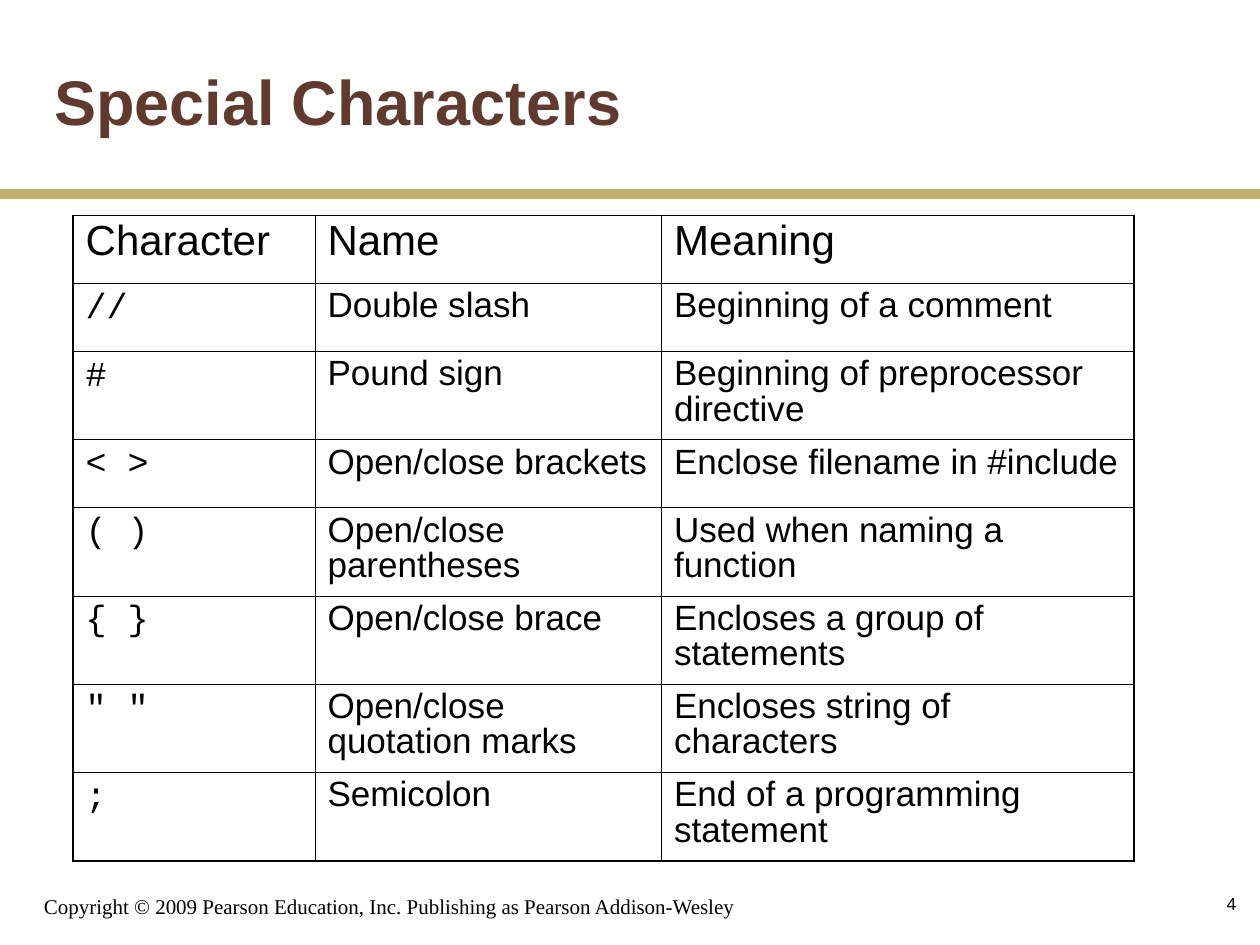
from dataclasses import dataclass

from lxml import etree
from pptx import Presentation
from pptx.dml.color import RGBColor
from pptx.enum.shapes import MSO_SHAPE
from pptx.enum.text import MSO_ANCHOR, MSO_AUTO_SIZE, PP_ALIGN
from pptx.oxml.ns import qn
from pptx.util import Inches, Pt

RECTANGLE = MSO_SHAPE.RECTANGLE
MIDDLE, BOTTOM = MSO_ANCHOR.MIDDLE, MSO_ANCHOR.BOTTOM
LEFT, RIGHT = PP_ALIGN.LEFT, PP_ALIGN.RIGHT
NO_AUTOFIT = MSO_AUTO_SIZE.NONE
TITLE_ONLY = 5


@dataclass(frozen=True)
class Theme:
    """Colours, fonts, type sizes and line widths of the slide."""
    title_color: RGBColor = RGBColor(0x60, 0x3A, 0x2F)
    bar_color: RGBColor = RGBColor(0xBF, 0xAF, 0x6F)
    ink: RGBColor = RGBColor(0, 0, 0)
    sans: str = "Arial"
    serif: str = "Times New Roman"
    code: str = "Courier New"
    title_size: Pt = Pt(36)
    header_size: Pt = Pt(24)
    cell_size: Pt = Pt(20)
    footer_size: Pt = Pt(12)
    number_size: Pt = Pt(10)
    outer_line: Pt = Pt(1.08)
    inner_line: Pt = Pt(0.45)


THEME = Theme()
COLUMN_WIDTHS = (1.92, 2.75, 3.75)
ROW_HEIGHTS = (0.54, 0.54, 0.7, 0.54, 0.7, 0.7, 0.7, 0.7)
ROWS = (
    ("Character", "Name", "Meaning"),
    ("//", "Double slash", "Beginning of a comment"),
    ("#", "Pound sign", "Beginning of preprocessor directive"),
    ("< >", "Open/close brackets", "Enclose filename in #include"),
    ("( )", "Open/close parentheses", "Used when naming a function"),
    ("{ }", "Open/close brace", "Encloses a group of statements"),
    ('" "', "Open/close quotation marks", "Encloses string of characters"),
    (";", "Semicolon", "End of a programming statement"),
)


def box(*lengths):
    """Turn left, top, width and height in inches into lengths."""
    return [Inches(length) for length in lengths]


def write(frame, text, color=THEME.ink, paragraph_format=None, **font_format):
    """Write one formatted paragraph into a text frame."""
    paragraph = frame.paragraphs[0]
    run = paragraph.add_run()
    run.text = text
    for name, value in (paragraph_format or {}).items():
        setattr(paragraph, name, value)
    for name, value in font_format.items():
        setattr(run.font, name, value)
    run.font.color.rgb = color


def add_title(slide, area, text):
    """Move and format the title placeholder."""
    title = slide.shapes.title
    title.left, title.top, title.width, title.height = area
    frame = title.text_frame
    frame.auto_size = NO_AUTOFIT
    frame.vertical_anchor = MIDDLE
    write(frame, text, THEME.title_color, {"alignment": LEFT},
          name=THEME.sans, size=THEME.title_size, bold=True)


def add_bar(slide, area):
    """Draw the band under the title."""
    bar = slide.shapes.add_shape(RECTANGLE, *area)
    bar.shadow.inherit = False
    bar.fill.solid()
    bar.fill.fore_color.rgb = THEME.bar_color
    bar.line.fill.background()


def add_label(slide, area, text, anchor, alignment, **font_format):
    """Place one line of footer text."""
    frame = slide.shapes.add_textbox(*area).text_frame
    frame.word_wrap = True
    frame.vertical_anchor = anchor
    write(frame, text, paragraph_format={"alignment": alignment}, **font_format)


def set_borders(cell, outer_sides):
    """Draw the four cell borders, heavier on the table's outer sides."""
    properties = cell._tc.get_or_add_tcPr()
    for side, is_outer in outer_sides.items():
        width = THEME.outer_line if is_outer else THEME.inner_line
        line = etree.SubElement(properties, qn(f"a:ln{side}"), w=str(int(width)))
        fill = etree.SubElement(line, qn("a:solidFill"))
        etree.SubElement(fill, qn("a:srgbClr"), val=str(THEME.ink))


def add_character_table(slide, area):
    """Build the table of special characters."""
    last_row, last_column = len(ROWS) - 1, len(COLUMN_WIDTHS) - 1
    table = slide.shapes.add_table(len(ROWS), len(COLUMN_WIDTHS), *area).table
    table.first_row = table.horz_banding = False
    for column, width in zip(table.columns, COLUMN_WIDTHS):
        column.width = Inches(width)
    for row, height in zip(table.rows, ROW_HEIGHTS):
        row.height = Inches(height)
    for row_index, texts in enumerate(ROWS):
        for column_index, text in enumerate(texts):
            cell = table.cell(row_index, column_index)
            is_header = row_index == 0
            is_code = column_index == 0 and not is_header
            set_borders(cell, {
                "L": column_index == 0, "R": column_index == last_column,
                "T": is_header, "B": row_index == last_row})
            cell.fill.background()
            write(cell.text_frame, text,
                  paragraph_format={"line_spacing": 0.9},
                  name=THEME.code if is_code else THEME.sans,
                  size=THEME.header_size if is_header else THEME.cell_size)


def main():
    """Build and save the presentation."""
    presentation = Presentation()
    presentation.slide_width, presentation.slide_height = Inches(10), Inches(7.5)
    slide = presentation.slides.add_slide(presentation.slide_layouts[TITLE_ONLY])
    add_label(slide, box(0.25, 6.92, 6.08, 0.42),
              "Copyright © 2009 Pearson Education, Inc. Publishing as Pearson Addison-Wesley",
              BOTTOM, LEFT, name=THEME.serif, size=THEME.footer_size)
    add_bar(slide, box(0, 1.5, 10, 0.08))
    add_title(slide, box(0.33, 0.17, 8.5, 1.25), "Special Characters")
    add_character_table(
        slide, box(0.58, 1.71, sum(COLUMN_WIDTHS), sum(ROW_HEIGHTS)))
    add_label(slide, box(7.83, 6.92, 2.08, 0.5), "4", MIDDLE, RIGHT,
              name=THEME.sans, size=THEME.number_size)
    presentation.save("out.pptx")


if __name__ == "__main__":
    main()
